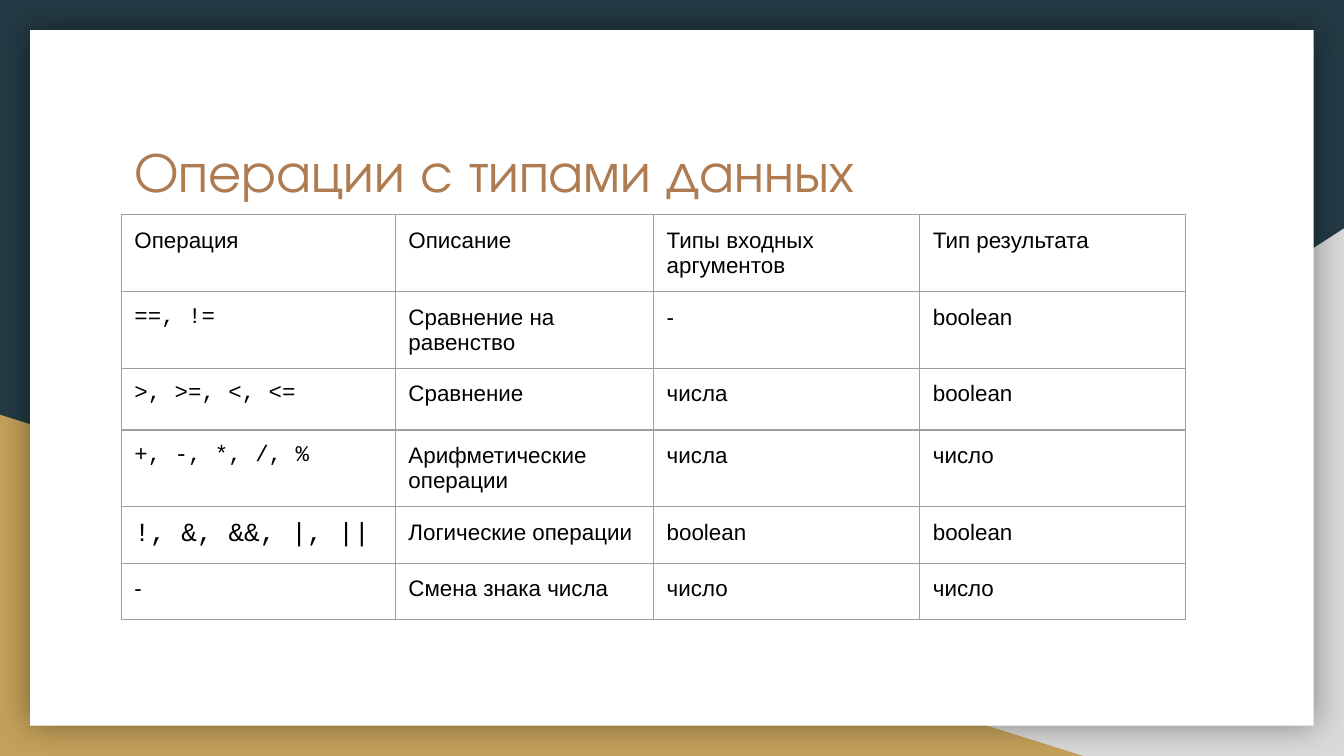
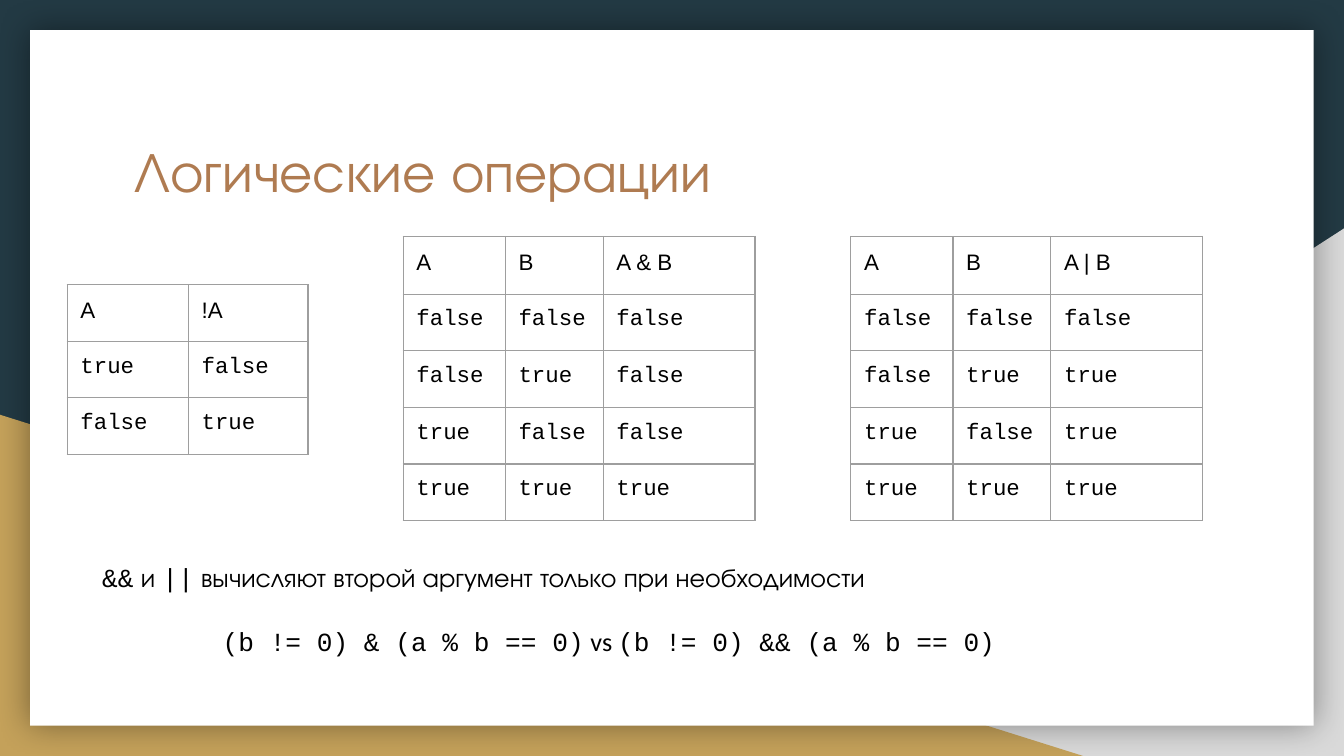
from dataclasses import dataclass
from itertools import product
from typing import NamedTuple

from lxml.etree import SubElement
from pptx import Presentation
from pptx.dml.color import RGBColor
from pptx.enum.shapes import MSO_SHAPE
from pptx.enum.text import MSO_ANCHOR, MSO_AUTO_SIZE, PP_ALIGN
from pptx.oxml import parse_xml
from pptx.oxml.ns import nsdecls, qn
from pptx.util import Cm, Pt

COLORS = {
    "night": "233A44",
    "silver": "D9D9D9",
    "gold": "C4A15A",
    "card": "FFFFFF",
    "title": "AF7B51",
    "text": "000000",
    "grid": "9E9E9E",
}
HEADING, SANS, MONO, VERSUS = "TeX Gyre Adventor", "Arial", "Courier New", "Calibri"
WIDTH, HEIGHT = 25.4, 14.29
CARD_MARGIN = 0.57
INSET = Cm(0.25)
ROW = 1.07


class Span(NamedTuple):
    text: str
    font: str = SANS
    size: int = 12


class Area(NamedTuple):
    left: float
    top: float
    width: float
    height: float

    def lengths(self) -> list:
        return [Cm(value) for value in self]


@dataclass
class Backdrop:
    preset: MSO_SHAPE
    area: Area
    color: str
    flipped: bool = False
    shadowed: bool = False


@dataclass
class Grid:
    left: float
    top: float
    columns: list[float]
    rows: list[float]
    cells: list[list[Span]]


@dataclass
class Note:
    area: Area
    spans: list[Span]


BACKDROPS = [
    Backdrop(MSO_SHAPE.RIGHT_TRIANGLE, Area(9.96, 4.32, 15.44, 9.97), "silver", flipped=True),
    Backdrop(MSO_SHAPE.RIGHT_TRIANGLE, Area(0, 7.84, 20.47, 6.45), "gold"),
    Backdrop(
        MSO_SHAPE.RECTANGLE,
        Area(CARD_MARGIN, CARD_MARGIN, WIDTH - 2 * CARD_MARGIN, HEIGHT - 2 * CARD_MARGIN),
        "card",
        shadowed=True,
    ),
]
TITLE_AREA = Area(2.29, 2.34, 20.85, 2.64)

OPERATIONS = Grid(
    2.29, 4.06, [5.18, 4.88, 5.03, 5.03], [ROW, ROW, 1.17, ROW, ROW, ROW],
    [
        [Span("Операция"), Span("Описание"), Span("Типы входных аргументов"), Span("Тип результата")],
        [Span("==, !=", MONO), Span("Сравнение на равенство"), Span("-"), Span("boolean")],
        [Span(">, >=, <, <=", MONO), Span("Сравнение"), Span("числа"), Span("boolean")],
        [Span("+, -, *, /, %", MONO), Span("Арифметические операции"), Span("числа"), Span("число")],
        [Span("!, &, &&, |, ||", MONO, 14), Span("Логические операции"), Span("boolean"), Span("boolean")],
        [Span("-"), Span("Смена знака числа"), Span("число"), Span("число")],
    ],
)


def truth_cells(header: list[str], values: list[tuple[bool, ...]]) -> list[list[Span]]:
    body = [[Span(str(value).lower(), MONO) for value in row] for row in values]
    return [[Span(name) for name in header]] + body


def binary_grid(left: float, header: str, values: list[tuple[bool, ...]]) -> Grid:
    cells = truth_cells(["A", "B", header], values)
    return Grid(left, 4.47, [1.93, 1.85, 2.87], [1.09] + [ROW] * 4, cells)


PAIRS = list(product((False, True), repeat=2))
TRUTH_GRIDS = [
    Grid(1.27, 5.38, [2.29, 2.26], [ROW] * 3,
         truth_cells(["A", "!A"], [(a, not a) for a in (True, False)])),
    binary_grid(7.62, "A & B", [(a, b, a and b) for a, b in PAIRS]),
    binary_grid(16.08, "A | B", [(a, b, a or b) for a, b in PAIRS]),
]
NOTES = [
    Note(Area(1.68, 10.36, 21.79, 1.12), [
        Span("&&", MONO, 14),
        Span(" и ", HEADING, 14),
        Span("||", MONO, 14),
        Span(" вычисляют второй аргумент только при необходимости", HEADING, 14),
    ]),
    Note(Area(3.96, 11.58, 17.91, 1.12), [
        Span("(b != 0) & (a % b == 0)", MONO, 14),
        Span(" vs ", VERSUS, 14),
        Span("(b != 0) && (a % b == 0)", MONO, 14),
    ]),
]


def color(name: str) -> RGBColor:
    return RGBColor.from_string(COLORS[name])


def style_font(font, name: str, size: int, color_name: str = "text") -> None:
    font.name = name
    font.size = Pt(size)
    font.color.rgb = color(color_name)


def set_insets(target) -> None:
    target.margin_left = target.margin_right = INSET
    target.margin_top = target.margin_bottom = INSET


def add_backdrop(page, backdrop: Backdrop):
    shape = page.shapes.add_shape(backdrop.preset, *backdrop.area.lengths())
    shape.shadow.inherit = False
    shape.fill.solid()
    shape.fill.fore_color.rgb = color(backdrop.color)
    shape.line.fill.background()
    properties = shape._element.spPr
    if backdrop.flipped:
        properties.find(qn("a:xfrm")).set("flipH", "1")
    if backdrop.shadowed:
        properties.find(qn("a:effectLst")).append(parse_xml(
            f'<a:outerShdw {nsdecls("a")} blurRad="{Pt(18)}" dist="0" dir="0" rotWithShape="0">'
            f'<a:srgbClr val="{COLORS["text"]}"><a:alpha val="40000"/></a:srgbClr></a:outerShdw>'
        ))
    return shape


def dress_layout(layout, page) -> None:
    """Give the layout its background and the backdrops, drawn first on the page."""
    layout.background.fill.solid()
    layout.background.fill.fore_color.rgb = color("night")
    for placeholder in list(layout.placeholders):
        if placeholder.placeholder_format.idx:
            placeholder._element.getparent().remove(placeholder._element)
    tree = layout.shapes._spTree
    for position, backdrop in enumerate(BACKDROPS, start=2):
        tree.insert(position, add_backdrop(page, backdrop)._element)


def set_title(page, text: str) -> None:
    title = page.shapes.title
    title.left, title.top, title.width, title.height = TITLE_AREA.lengths()
    frame = title.text_frame
    frame.text = text
    frame.vertical_anchor = MSO_ANCHOR.TOP
    frame.auto_size = MSO_AUTO_SIZE.NONE
    set_insets(frame)
    para = frame.paragraphs[0]
    para.alignment = PP_ALIGN.LEFT
    style_font(para.font, HEADING, 30, "title")


def set_borders(cell) -> None:
    properties = cell._tc.get_or_add_tcPr()
    for position, side in enumerate(("lnL", "lnR", "lnT", "lnB")):
        line = SubElement(properties, qn(f"a:{side}"), w=str(Pt(0.75)))
        fill = SubElement(line, qn("a:solidFill"))
        SubElement(fill, qn("a:srgbClr"), val=COLORS["grid"])
        properties.insert(position, line)


def add_grid(page, grid: Grid) -> None:
    area = Area(grid.left, grid.top, sum(grid.columns), sum(grid.rows))
    table = page.shapes.add_table(len(grid.rows), len(grid.columns), *area.lengths()).table
    table.first_row = table.horz_banding = False
    for column, width in zip(table.columns, grid.columns):
        column.width = Cm(width)
    for row, height, spans in zip(table.rows, grid.rows, grid.cells):
        row.height = Cm(height)
        for cell, span in zip(row.cells, spans):
            cell.text = span.text
            cell.fill.background()
            set_insets(cell)
            set_borders(cell)
            style_font(cell.text_frame.paragraphs[0].font, span.font, span.size)


def add_note(page, note: Note) -> None:
    frame = page.shapes.add_textbox(*note.area.lengths()).text_frame
    frame.word_wrap = True
    frame.auto_size = MSO_AUTO_SIZE.SHAPE_TO_FIT_TEXT
    set_insets(frame)
    for span in note.spans:
        run = frame.paragraphs[0].add_run()
        run.text = span.text
        style_font(run.font, span.font, span.size)


def main() -> None:
    deck = Presentation()
    deck.slide_width, deck.slide_height = Cm(WIDTH), Cm(HEIGHT)
    layout = deck.slide_layouts.get_by_name("Title Only")

    operations_page = deck.slides.add_slide(layout)
    dress_layout(layout, operations_page)
    set_title(operations_page, "Операции с типами данных")
    add_grid(operations_page, OPERATIONS)

    logic_page = deck.slides.add_slide(layout)
    set_title(logic_page, "Логические операции")
    for grid in TRUTH_GRIDS:
        add_grid(logic_page, grid)
    for note in NOTES:
        add_note(logic_page, note)

    deck.save("out.pptx")


if __name__ == "__main__":
    main()
